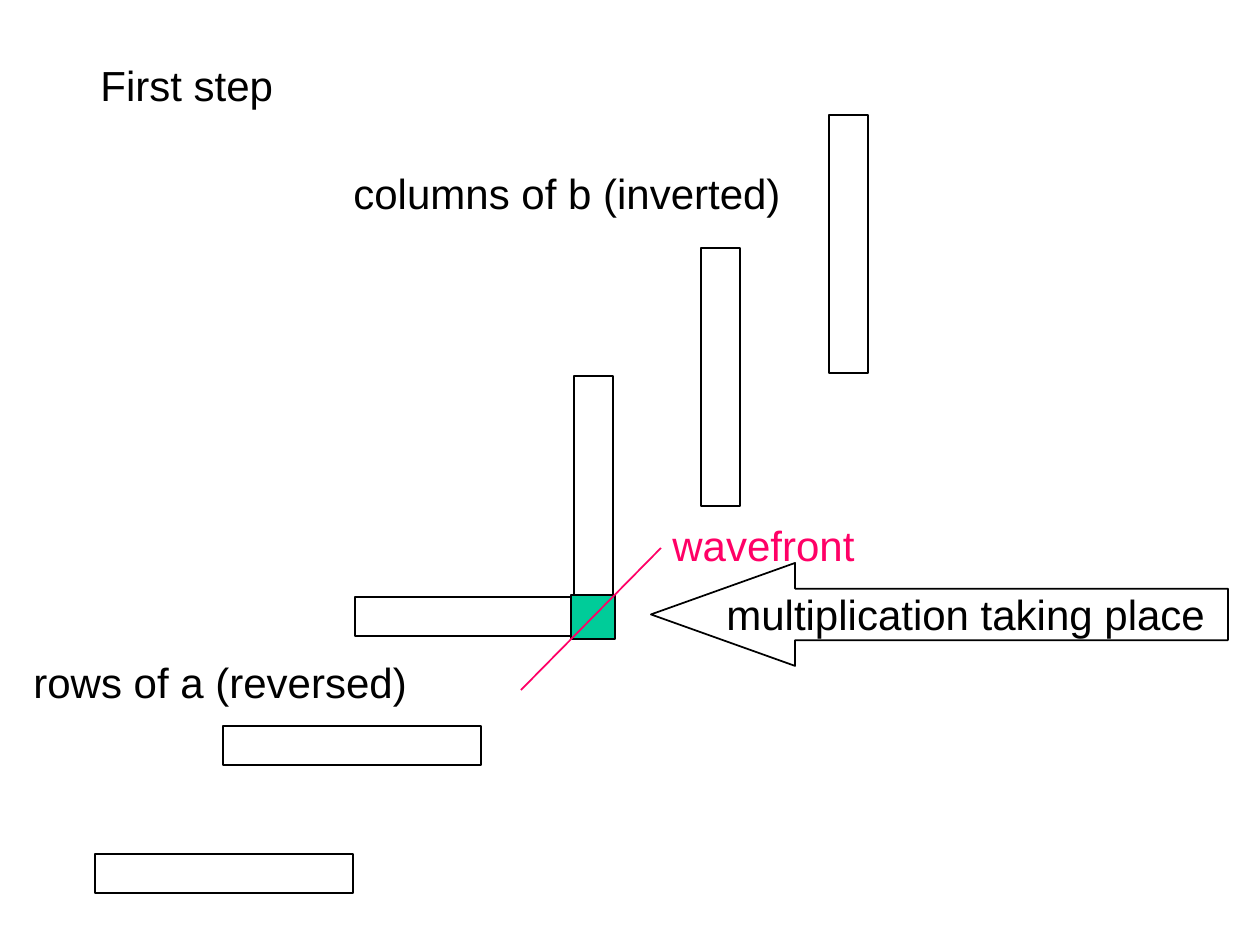
from pptx import Presentation
from pptx.dml.color import RGBColor
from pptx.enum.shapes import MSO_CONNECTOR, MSO_SHAPE
from pptx.enum.text import MSO_AUTO_SIZE
from pptx.oxml.ns import qn
from pptx.util import Pt
from lxml.etree import SubElement

EMU_PER_PX = 914400 / 126
BLACK, GREEN, PINK = "000000", "00CC99", "FF0066"


def px(*lengths):
    return [round(n * EMU_PER_PX) for n in lengths]


def color(hex_value):
    return RGBColor.from_string(hex_value)


prs = Presentation()
prs.slide_width, prs.slide_height = px(1260, 945)
s = prs.slides.add_slide(prs.slide_layouts[6])

# Staggered rows of a, columns of b, the arrow and the active cell
LONG, SHORT = 258, 39
rows = s.shapes.add_group_shape().shapes
columns = s.shapes.add_group_shape().shapes
callout = s.shapes.add_group_shape().shapes
boxes = [(rows, MSO_SHAPE.RECTANGLE, (x, y, LONG, SHORT), None)
         for x, y in [(355, 597), (223, 726), (95, 854)]]
boxes += [(columns, MSO_SHAPE.RECTANGLE, (x, y, SHORT, LONG), None)
          for x, y in [(829, 115), (701, 248), (574, 376)]]
boxes += [
    (callout, MSO_SHAPE.LEFT_ARROW, (651, 563, 577, 103), None),
    (s.shapes, MSO_SHAPE.RECTANGLE, (571, 595, 44, 44), GREEN),
]
for shapes, kind, at, fill in boxes:
    sp = shapes.add_shape(kind, *px(*at))
    sp.shadow.inherit = False
    sp.line.color.rgb = color(BLACK)
    sp.line.width = Pt(1)
    if fill:
        sp.fill.solid()
        sp.fill.fore_color.rgb = color(fill)
    else:
        sp.fill.background()
    if kind == MSO_SHAPE.LEFT_ARROW:
        sp.adjustments[0] = 0.5
        sp.adjustments[1] = 1.4

wavefront = s.shapes.add_connector(MSO_CONNECTOR.STRAIGHT, *px(521, 690, 661, 548))
wavefront.line.color.rgb = color(PINK)
wavefront.line.width = Pt(1)
SubElement(wavefront._element.spPr, qn("a:effectLst"))

labels = [
    (s.shapes, "First step", (88, 53, 209, 63), BLACK),
    (s.shapes, "columns of b (inverted)", (341, 161, 464, 63), BLACK),
    (s.shapes, "rows of a (reversed)", (21, 650, 410, 63), BLACK),
    (callout, "multiplication taking place", (714, 582, 515, 63), BLACK),
    (s.shapes, "wavefront", (660, 513, 207, 63), PINK),
]
font_format = {"name": "Arial", "size": Pt(24)}
for shapes, text, at, hex_value in labels:
    tf = shapes.add_textbox(*px(*at)).text_frame
    tf.word_wrap = False
    tf.auto_size = MSO_AUTO_SIZE.SHAPE_TO_FIT_TEXT
    r = tf.paragraphs[0].add_run()
    r.text = text
    for name, value in font_format.items():
        setattr(r.font, name, value)
    r.font.color.rgb = color(hex_value)

prs.save("out.pptx")
